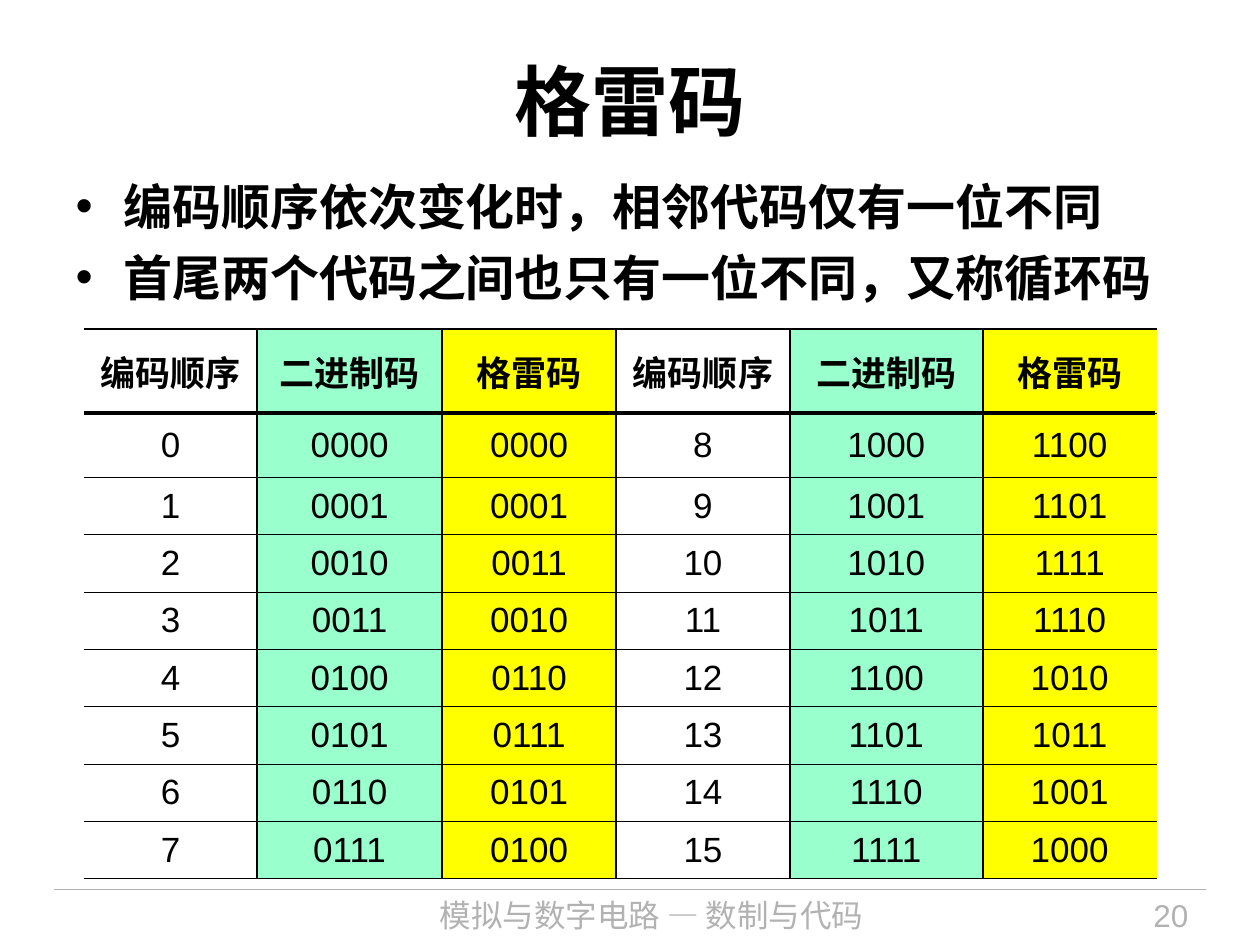
from lxml.etree import SubElement
from pptx import Presentation
from pptx.dml.color import RGBColor
from pptx.enum.shapes import MSO_CONNECTOR
from pptx.enum.text import MSO_ANCHOR, MSO_AUTO_SIZE, PP_ALIGN
from pptx.oxml.ns import qn
from pptx.util import Inches, Pt

BLACK = RGBColor(0x00, 0x00, 0x00)
GRAY = RGBColor(0xB2, 0xB2, 0xB2)
GREEN = RGBColor(0x99, 0xFF, 0xCC)
YELLOW = RGBColor(0xFF, 0xFF, 0x00)


def add_text(para, text, size, color=BLACK, bold=False):
    span = para.add_run()
    span.text = text
    span.font.name = "Arial"
    span.font.size = Pt(size)
    span.font.bold = bold
    span.font.color.rgb = color


def add_rule(page, left, right, top, color, width):
    rule = page.shapes.add_connector(
        MSO_CONNECTOR.STRAIGHT, Inches(left), Inches(top), Inches(right), Inches(top))
    rule.line.color.rgb = color
    rule.line.width = Pt(width)
    SubElement(rule._element.spPr, qn("a:effectLst"))


deck = Presentation()
deck.slide_width, deck.slide_height = Inches(10), Inches(7.5)
page = deck.slides.add_slide(deck.slide_layouts[1])

add_rule(page, 0.43, 9.57, 7.06, GRAY, 0.75)

footers = [
    (2.49, 5.36, "模拟与数字电路 — 数制与代码", PP_ALIGN.CENTER),
    (8.2, 1.33, "20", PP_ALIGN.RIGHT),
]
for left, width, text, alignment in footers:
    box = page.shapes.add_textbox(Inches(left), Inches(7.06), Inches(width), Inches(0.44))
    box.text_frame.word_wrap = True
    para = box.text_frame.paragraphs[0]
    para.alignment = alignment
    add_text(para, text, 18, GRAY)

title = page.shapes.title
title.left, title.top, title.width, title.height = Inches(0.5), Inches(0.17), Inches(9), Inches(1.25)
title.text_frame.auto_size = MSO_AUTO_SIZE.NONE
title.text_frame.vertical_anchor = MSO_ANCHOR.MIDDLE
para = title.text_frame.paragraphs[0]
para.alignment = PP_ALIGN.CENTER
add_text(para, "格雷码", 44, bold=True)

body = page.placeholders[1]
body.left, body.top, body.width, body.height = Inches(0.5), Inches(1.35), Inches(8.91), Inches(1.34)
body.text_frame.auto_size = MSO_AUTO_SIZE.NONE
points = ["编码顺序依次变化时，相邻代码仅有一位不同", "首尾两个代码之间也只有一位不同，又称循环码"]
for index, text in enumerate(points):
    para = body.text_frame.add_paragraph() if index else body.text_frame.paragraphs[0]
    para.space_before, para.space_after = Pt(0), Pt(7)
    properties = para._p.get_or_add_pPr()
    properties.set("marL", str(Inches(0.38)))
    properties.set("indent", str(-Inches(0.38)))
    SubElement(properties, qn("a:buChar")).set("char", "•")
    add_text(para, text, 28, bold=True)

codes = [["编码顺序", "二进制码", "格雷码"] * 2]
for low in range(8):
    codes.append([text for number in (low, low + 8)
                  for text in (str(number), f"{number:04b}", f"{number ^ number >> 1:04b}")])
column_widths = [1.37, 1.47, 1.38, 1.38, 1.53, 1.38]
row_heights = [0.67, 0.51] + [0.455] * 7
column_fills = [None, GREEN, YELLOW] * 2

frame = page.shapes.add_table(
    len(codes), len(column_widths), Inches(0.67), Inches(2.61),
    Inches(sum(column_widths)), Inches(sum(row_heights)))
table = frame.table
table.first_row = table.horz_banding = False
for column, width in zip(table.columns, column_widths):
    column.width = Inches(width)
for row, height in zip(table.rows, row_heights):
    row.height = Inches(height)

last_row, last_column = len(codes) - 1, len(column_widths) - 1
for row_index, texts in enumerate(codes):
    for column_index, text in enumerate(texts):
        cell = table.cell(row_index, column_index)
        cell.vertical_anchor = MSO_ANCHOR.MIDDLE
        borders = {
            "a:lnL": 1.08 if column_index > 0 else 0,
            "a:lnR": 1.08 if column_index < last_column else 0,
            "a:lnT": 0.45 if row_index > 0 else 1.08,
            "a:lnB": 0.45 if row_index < last_row else 1.08,
        }
        for tag, width in borders.items():
            border = SubElement(cell._tc.get_or_add_tcPr(), qn(tag))
            border.set("w", str(Pt(width)))
            if width:
                paint = SubElement(border, qn("a:solidFill"))
                SubElement(paint, qn("a:srgbClr")).set("val", str(BLACK))
            else:
                SubElement(border, qn("a:noFill"))
        if column_fills[column_index]:
            cell.fill.solid()
            cell.fill.fore_color.rgb = column_fills[column_index]
        else:
            cell.fill.background()
        para = cell.text_frame.paragraphs[0]
        para.alignment = PP_ALIGN.CENTER
        para.space_after = Pt(5)
        add_text(para, text, 20, bold=row_index == 0)

add_rule(page, 0.67, 9.17, 3.28, BLACK, 2.25)

deck.save("out.pptx")
